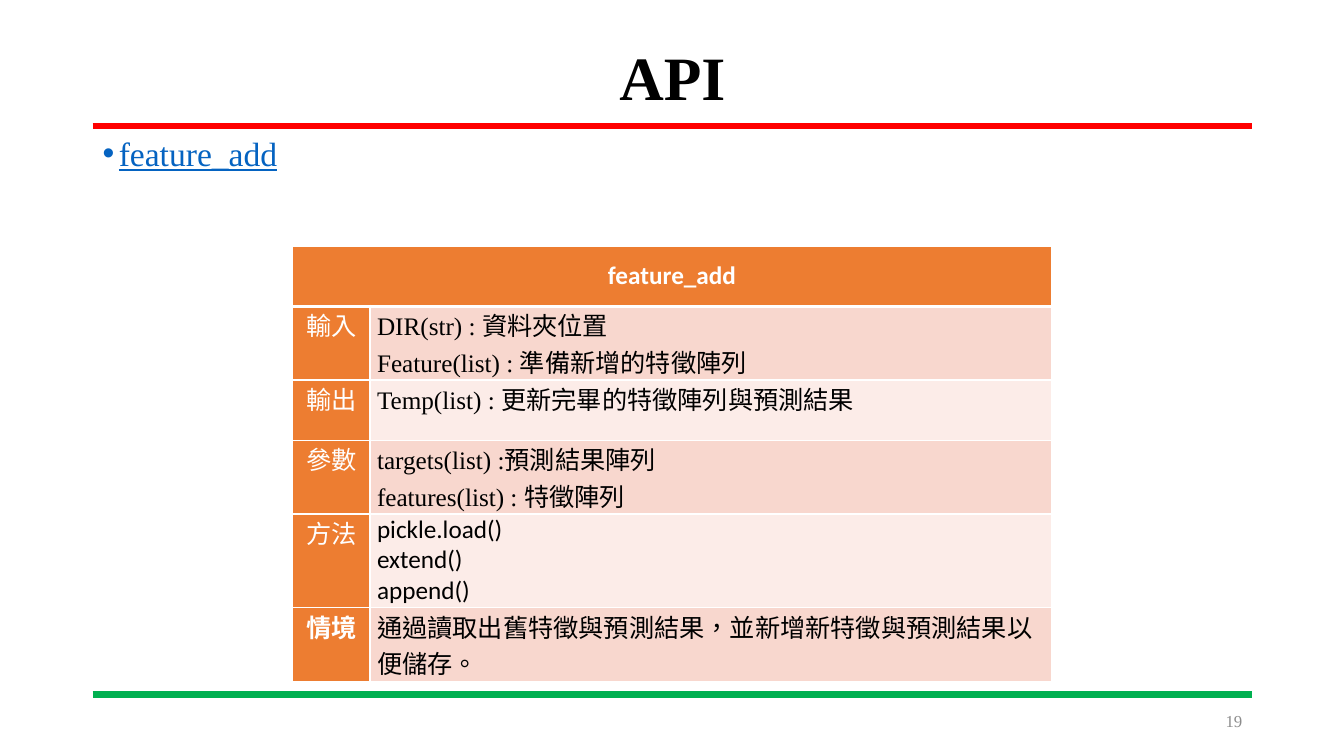
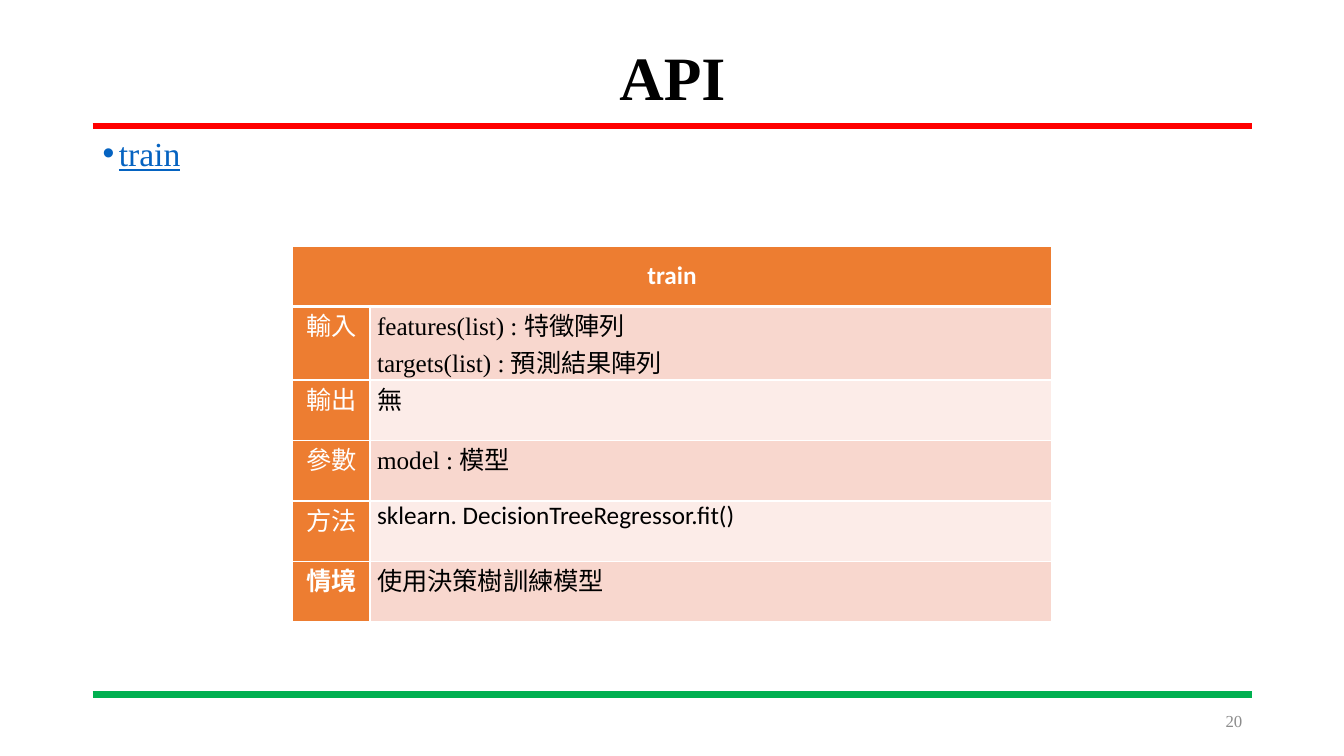
from dataclasses import dataclass
from math import ceil

from lxml.etree import SubElement
from pptx import Presentation
from pptx.dml.color import RGBColor
from pptx.enum.text import MSO_ANCHOR as Anchor, PP_ALIGN as Align
from pptx.oxml.ns import qn
from pptx.util import Inches, Pt


@dataclass(frozen=True)
class Theme:
    black: str = "000000"
    white: str = "FFFFFF"
    top_rule: str = "FF0000"
    bottom_rule: str = "00B050"
    topic: str = "0563C1"
    number: str = "8C8C8C"
    accent: str = "ED7D31"
    bands: tuple = ("F8D7CE", "FCECE8")
    serif: str = "Times New Roman"
    sans: str = "Calibri"
    cjk: str = "Noto Sans CJK SC"
    language: str = "zh-TW"
    title_size: int = 44
    topic_size: int = 24
    table_size: int = 18
    number_size: int = 12


THEME = Theme()
LEFT, WIDTH = 0.92, 11.5
COLUMNS = (0.77, 6.76)
MIN_ROW, CJK_LINE, LATIN_LINE = 0.6, 0.365, 0.31
CJK_PER_LINE = 26
LABELS = ("輸入", "輸出", "參數", "方法", "情境")
METHOD, SCENARIO = "方法", "情境"
PAGES = (
    (19, "feature_add", (
        (("DIR(str) : 資料夾位置",), ("Feature(list) : 準備新增的特徵陣列",)),
        (("Temp(list) : 更新完畢的特徵陣列與預測結果",),),
        (("targets(list) :預測結果陣列",), ("features(list) : ", "特徵陣列")),
        (("pickle.load()",), ("extend()",), ("append()",)),
        (("通過讀取出舊特徵與預測結果，並新增新特徵與預測結果以便儲存。",),),
    )),
    (20, "train", (
        (("features(list) : 特徵陣列",), ("targets(list) : 預測結果陣列",)),
        (("無",),),
        (("model : ", "模型"),),
        (("sklearn. DecisionTreeRegressor.fit()",),),
        (("使用決策樹訓練模型",),),
    )),
)


def add_span(para, text, size, font, color, bold=False, underline=False):
    span = para.add_run()
    span.text = text
    span.font.size = Pt(size)
    span.font.name = font
    span.font.bold = bold
    span.font.underline = underline
    span.font.color.rgb = RGBColor.from_string(color)
    span.font._element.set("lang", THEME.language)
    latin = span.font._element.find(qn("a:latin"))
    east_asian = latin.makeelement(qn("a:ea"), {"typeface": THEME.cjk})
    latin.addnext(east_asian)


def add_box(page, left, top, width, height, align, anchor=Anchor.MIDDLE):
    box = page.shapes.add_textbox(*map(Inches, (left, top, width, height)))
    frame = box.text_frame
    frame.word_wrap = True
    frame.vertical_anchor = anchor
    para = frame.paragraphs[0]
    para.alignment = align
    return para


def add_rule(page, top, color):
    ends = map(Inches, (LEFT, top, LEFT + WIDTH, top))
    rule = page.shapes.add_connector(1, *ends)
    rule.line.color.rgb = RGBColor.from_string(color)
    rule.line.width = Pt(4.5)
    SubElement(rule._element.spPr, qn("a:effectLst"))


def add_bullet(para):
    properties = para._p.get_or_add_pPr()
    properties.set("marL", str(Inches(0.16)))
    properties.set("indent", str(-Inches(0.16)))
    SubElement(properties, qn("a:buFont"), typeface="Arial")
    SubElement(properties, qn("a:buChar"), char="•")


def style_cell(cell, fill, widths):
    cell.margin_left = cell.margin_right = Inches(0.07)
    cell.margin_top = cell.margin_bottom = 0
    properties = cell._tc.get_or_add_tcPr()
    for side, width in zip("LRTB", widths):
        line = SubElement(properties, qn(f"a:ln{side}"), w=str(Pt(width)))
        solid = SubElement(line, qn("a:solidFill"))
        SubElement(solid, qn("a:srgbClr"), val=THEME.white)
    cell.fill.solid()
    cell.fill.fore_color.rgb = RGBColor.from_string(fill)


def fill_cell(cell, lines, font, color, align=Align.LEFT, bold=False):
    frame = cell.text_frame
    for index, line in enumerate(lines):
        para = frame.add_paragraph() if index else frame.paragraphs[0]
        para.alignment = align
        for text in line:
            add_span(para, text, THEME.table_size, font, color, bold)


def entry_height(label, lines):
    if label == METHOD:
        needed = len(lines) * LATIN_LINE
    elif label == SCENARIO:
        length = sum(len(text) for line in lines for text in line)
        needed = ceil(length / CJK_PER_LINE) * CJK_LINE
    else:
        needed = len(lines) * CJK_LINE
    return max(MIN_ROW, needed)


def add_api_table(page, name, entries):
    heights = [MIN_ROW, *map(entry_height, LABELS, entries)]
    area = map(Inches, (2.9, 2.44, sum(COLUMNS), sum(heights)))
    table = page.shapes.add_table(len(heights), len(COLUMNS), *area).table
    table.first_row = table.horz_banding = False
    for column, width in zip(table.columns, COLUMNS):
        column.width = Inches(width)
    for row, height in zip(table.rows, heights):
        row.height = Inches(height)

    for cell in table.rows[0].cells:
        style_cell(cell, THEME.accent, (1, 1, 1, 3))
    header = table.cell(0, 0)
    header.merge(table.cell(0, 1))
    header.vertical_anchor = Anchor.MIDDLE
    fill_cell(header, ((name,),), THEME.sans, THEME.white, Align.CENTER, True)

    for row, (label, lines) in enumerate(zip(LABELS, entries), start=1):
        label_cell, entry_cell = table.rows[row].cells
        widths = (1, 1, 3 if row == 1 else 1, 1)
        style_cell(label_cell, THEME.accent, widths)
        style_cell(entry_cell, THEME.bands[(row - 1) % 2], widths)
        fill_cell(label_cell, ((label,),), THEME.cjk, THEME.white,
                  Align.CENTER, label == SCENARIO)
        font = THEME.sans if label == METHOD else THEME.serif
        fill_cell(entry_cell, lines, font, THEME.black)


def add_frame(page, number):
    add_rule(page, 1.25, THEME.top_rule)
    add_rule(page, 6.89, THEME.bottom_rule)
    title = add_box(page, LEFT, 0.4, WIDTH, 0.79, Align.CENTER)
    title.line_spacing = 0.9
    add_span(title, "API", THEME.title_size, THEME.serif, THEME.black, True)
    footer = add_box(page, 9.42, 6.95, 3, 0.4, Align.RIGHT)
    add_span(footer, str(number), THEME.number_size, THEME.serif, THEME.number)


def add_topic(page, name):
    topic = add_box(page, LEFT, 1.31, WIDTH, 0.5, Align.LEFT, Anchor.TOP)
    topic.line_spacing = 0.9
    add_bullet(topic)
    add_span(topic, name, THEME.topic_size, THEME.serif, THEME.topic,
             underline=True)


def main():
    deck = Presentation()
    deck.slide_width, deck.slide_height = Inches(13.33), Inches(7.5)
    for number, name, entries in PAGES:
        page = deck.slides.add_slide(deck.slide_layouts[6])
        add_frame(page, number)
        add_topic(page, name)
        add_api_table(page, name, entries)
    deck.save("out.pptx")


if __name__ == "__main__":
    main()
